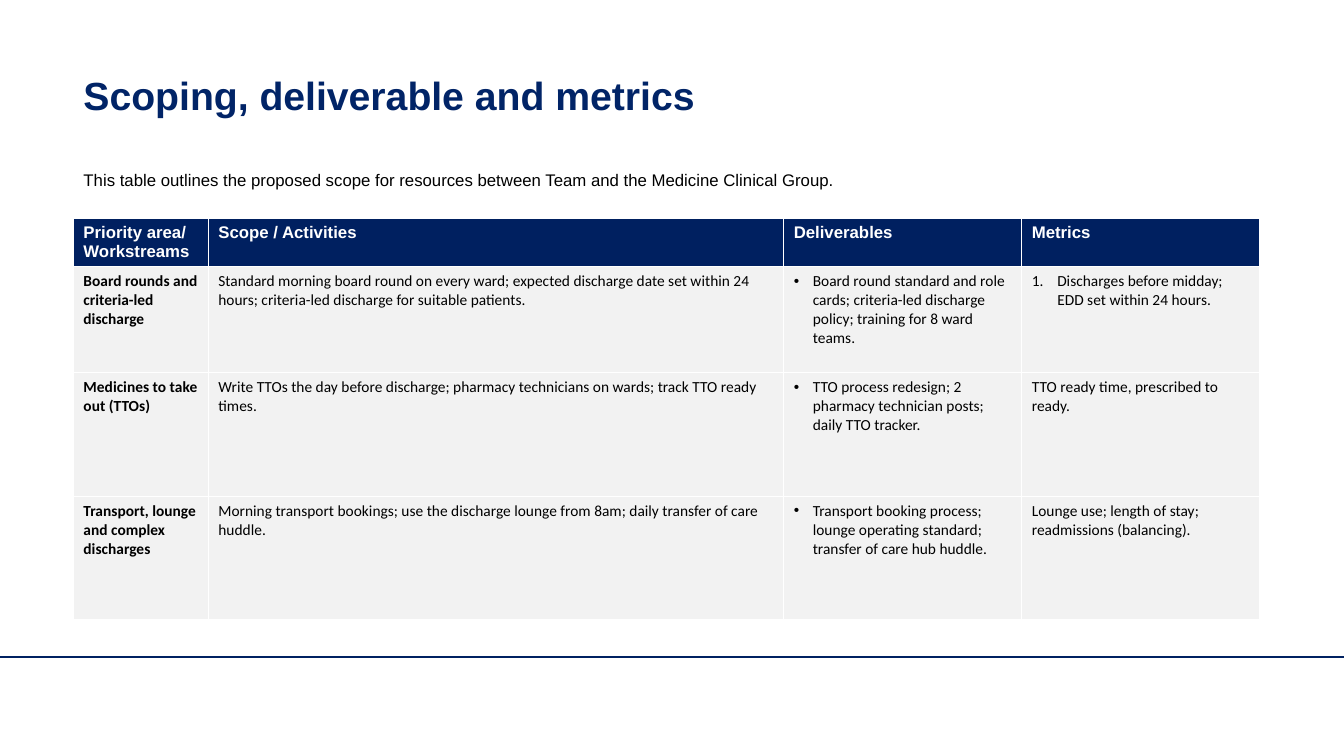
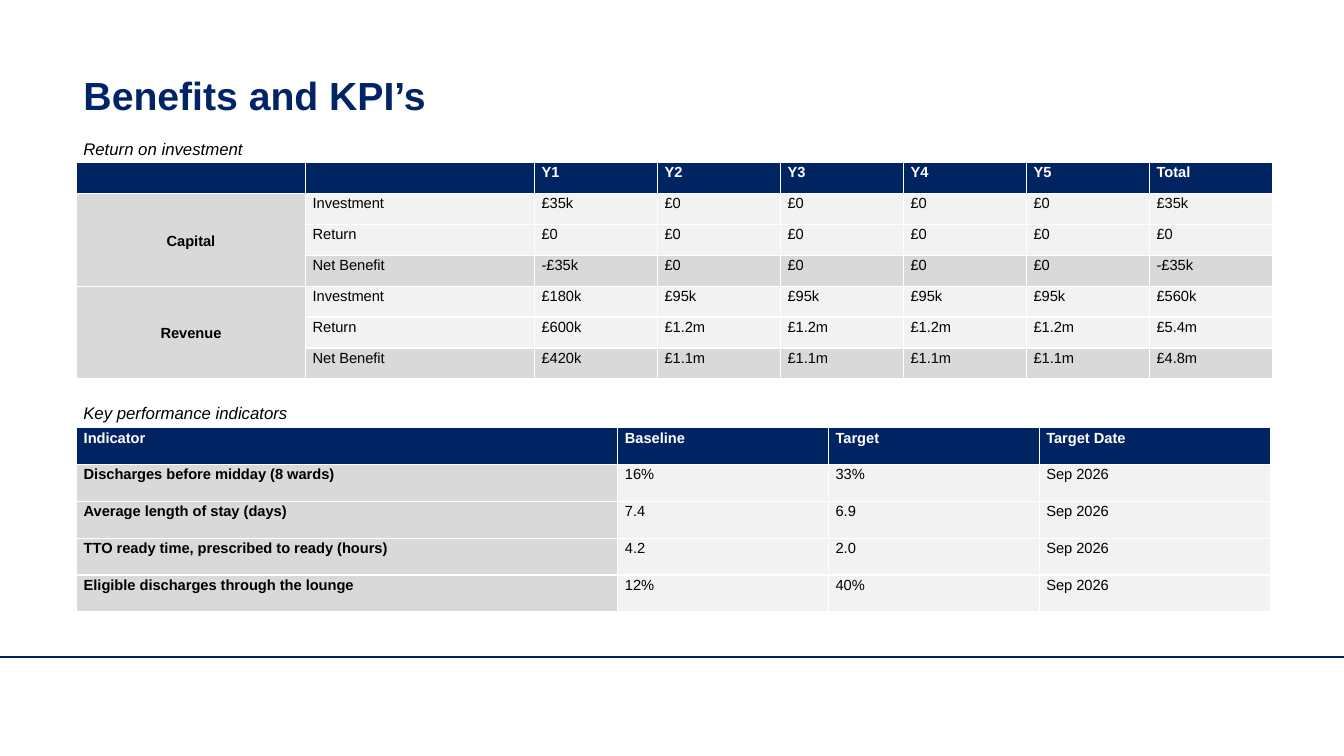
"""Build two project slides: scope table, then benefits and KPI tables."""
from lxml import etree
from pptx import Presentation
from pptx.dml.color import RGBColor
from pptx.enum import shapes, text
from pptx.oxml.ns import qn
from pptx.util import Cm, Pt

TITLE_NAVY = RGBColor(0x01, 0x24, 0x67)
RULE_NAVY = RGBColor(0x00, 0x21, 0x61)
SCOPE_NAVY = RGBColor(0x00, 0x20, 0x60)
BENEFIT_NAVY = RGBColor(0x00, 0x23, 0x62)
WHITE = RGBColor(0xFF, 0xFF, 0xFF)
BLACK = RGBColor(0x00, 0x00, 0x00)
PALE = RGBColor(0xF2, 0xF2, 0xF2)
GREY = RGBColor(0xD9, 0xD9, 0xD9)

WIDTH, HEIGHT = 33.87, 19.05
LEFT, TABLE_LEFT, CONTENT_W = 1.85, 1.93, 30.1
RULE_Y = 16.56
INDENTS = {"•": 0.48, "1.": 0.64}

SCOPE_TITLE = "Scoping, deliverable and metrics"
SCOPE_INTRO = ("This table outlines the proposed scope for resources between Team "
               "and the Medicine Clinical Group.")
SCOPE = [
    ("Priority area/\nWorkstreams", "Scope / Activities", "Deliverables", "Metrics"),
    ("Board rounds and criteria-led discharge",
     "Standard morning board round on every ward; expected discharge date set within "
     "24 hours; criteria-led discharge for suitable patients.",
     ("•", "Board round standard and role cards; criteria-led discharge policy; "
           "training for 8 ward teams."),
     ("1.", "Discharges before midday; EDD set within 24 hours.")),
    ("Medicines to take out (TTOs)",
     "Write TTOs the day before discharge; pharmacy technicians on wards; "
     "track TTO ready times.",
     ("•", "TTO process redesign; 2 pharmacy technician posts; daily TTO tracker."),
     "TTO ready time, prescribed to ready."),
    ("Transport, lounge and complex discharges",
     "Morning transport bookings; use the discharge lounge from 8am; "
     "daily transfer of care huddle.",
     ("•", "Transport booking process; lounge operating standard; "
           "transfer of care hub huddle."),
     "Lounge use; length of stay; readmissions (balancing)."),
]

BENEFITS_TITLE = "Benefits and KPI’s"
CAPTIONS = [("Return on investment", 3.3), ("Key performance indicators", 9.96)]
RETURNS = [
    ("", "", "Y1", "Y2", "Y3", "Y4", "Y5", "Total"),
    ("Capital", "Investment", "£35k", "£0", "£0", "£0", "£0", "£35k"),
    ("", "Return", "£0", "£0", "£0", "£0", "£0", "£0"),
    ("", "Net Benefit", "-£35k", "£0", "£0", "£0", "£0", "-£35k"),
    ("Revenue", "Investment", "£180k", "£95k", "£95k", "£95k", "£95k", "£560k"),
    ("", "Return", "£600k", "£1.2m", "£1.2m", "£1.2m", "£1.2m", "£5.4m"),
    ("", "Net Benefit", "£420k", "£1.1m", "£1.1m", "£1.1m", "£1.1m", "£4.8m"),
]
KPIS = [
    ("Indicator", "Baseline", "Target", "Target Date"),
    ("Discharges before midday (8 wards)", "16%", "33%", "Sep 2026"),
    ("Average length of stay (days)", "7.4", "6.9", "Sep 2026"),
    ("TTO ready time, prescribed to ready (hours)", "4.2", "2.0", "Sep 2026"),
    ("Eligible discharges through the lounge", "12%", "40%", "Sep 2026"),
]


def write(tf, content, size=12, font="Arial", color=BLACK, bold=False, italic=False,
          align=text.PP_ALIGN.LEFT, spacing=1.0, marker=None):
    """Fill a text frame, one paragraph per line, in one format."""
    for i, line in enumerate(content.split("\n")):
        p = tf.add_paragraph() if i else tf.paragraphs[0]
        pPr = p._p.get_or_add_pPr()
        indent = Cm(INDENTS.get(marker, 0))
        pPr.set("marL", str(indent))
        pPr.set("indent", str(-indent))
        p.space_before = Pt(0)
        p.line_spacing = spacing
        p.alignment = align
        if marker == "•":
            etree.SubElement(pPr, qn("a:buFont"), typeface="Arial")
            etree.SubElement(pPr, qn("a:buChar"), char=marker)
        elif marker:
            etree.SubElement(pPr, qn("a:buFont"), typeface="+mj-lt")
            etree.SubElement(pPr, qn("a:buAutoNum"), type="arabicPeriod")
        else:
            etree.SubElement(pPr, qn("a:buNone"))
        r = p.add_run()
        r.text = line
        r.font.size, r.font.name = Pt(size), font
        r.font.bold, r.font.italic = bold, italic
        r.font.color.rgb = color


def place(sp, left, top, width, height):
    """Set the position and size of a shape in centimetres."""
    sp.left, sp.top, sp.width, sp.height = map(Cm, (left, top, width, height))


def add_slide(prs, layout, title):
    """Add a slide with the shared title style."""
    s = prs.slides.add_slide(prs.slide_layouts[layout])
    write(s.shapes.title.text_frame, title, size=28, color=TITLE_NAVY, bold=True, spacing=0.9)
    return s


def add_master_rule(prs, s):
    """Draw the footer rule and move it to the slide master."""
    line = s.shapes.add_connector(shapes.MSO_CONNECTOR.STRAIGHT, 0, Cm(RULE_Y),
                                  Cm(WIDTH), Cm(RULE_Y))
    line.line.color.rgb = RULE_NAVY
    line.line.width = Pt(1)
    etree.SubElement(line.element.spPr, qn("a:effectLst"))
    line.element.nvCxnSpPr.cNvPr.set("id", "20")
    prs.slide_master.shapes.element.append(line.element)


def add_grid(s, rows, left, top, widths, heights, head_fill, head, body, key_fill, tight=False):
    """Add a table with a dark header row and a bold first column."""
    frame = s.shapes.add_table(len(rows), len(widths), Cm(left), Cm(top),
                               Cm(sum(widths)), Cm(sum(heights)))
    table = frame.table
    table.horz_banding = False
    for col, width in zip(table.columns, widths):
        col.width = Cm(width)
    for row, height in zip(table.rows, heights):
        row.height = Cm(height)
    for i, row in enumerate(rows):
        for j, content in enumerate(row):
            cell = table.cell(i, j)
            key = j == 0 or row[1] == "Net Benefit"
            cell.fill.solid()
            cell.fill.fore_color.rgb = head_fill if i == 0 else key_fill if key else PALE
            if tight:
                cell.margin_left = cell.margin_right = Cm(0.18)
                cell.margin_top = cell.margin_bottom = 0
            marker, content = content if isinstance(content, tuple) else (None, content)
            if content:
                fmt = dict(head, color=WHITE, bold=True) if i == 0 else dict(body, bold=j == 0)
                if j == 0 and i and i + 1 < len(rows) and not rows[i + 1][0]:
                    fmt["align"] = text.PP_ALIGN.CENTER
                    cell.vertical_anchor = text.MSO_ANCHOR.MIDDLE
                write(cell.text_frame, content, marker=marker, **fmt)
    return table


def main():
    """Build and save the slides."""
    prs = Presentation()
    prs.slide_width, prs.slide_height = Cm(WIDTH), Cm(HEIGHT)
    title, body = list(prs.slide_master.placeholders)[:2]
    place(title, LEFT, 0.84, CONTENT_W, 3.25)
    place(body, LEFT, 4.14, CONTENT_W, 11.46)

    s = add_slide(prs, 1, SCOPE_TITLE)
    add_master_rule(prs, s)
    write(s.placeholders[1].text_frame, SCOPE_INTRO)
    add_grid(s, SCOPE, LEFT, 5.51, [3.4, 14.5, 6, 6], [1.18, 2.67, 3.12, 3.12],
             SCOPE_NAVY, {"size": 12}, {"size": 11, "font": "Calibri"}, PALE)

    s = add_slide(prs, 5, BENEFITS_TITLE)
    compact = {"size": 10.5, "spacing": 1.15}
    style = (BENEFIT_NAVY, compact, compact, GREY, True)
    returns = add_grid(s, RETURNS, TABLE_LEFT, 4.09, [5.77] * 2 + [3.1] * 6,
                       [0.78] * len(RETURNS), *style)
    for first in (1, 4):
        returns.cell(first, 0).merge(returns.cell(first + 2, 0))
    add_grid(s, KPIS, TABLE_LEFT, 10.77, [13.64, 5.31, 5.31, 5.84],
             [0.93] * len(KPIS), *style)
    for caption, top in CAPTIONS:
        tf = s.shapes.add_textbox(Cm(LEFT), Cm(top), Cm(16.94), Cm(0.79)).text_frame
        tf.word_wrap = True
        write(tf, caption, italic=True, align=text.PP_ALIGN.JUSTIFY, spacing=1.15)

    prs.save("out.pptx")


if __name__ == "__main__":
    main()
